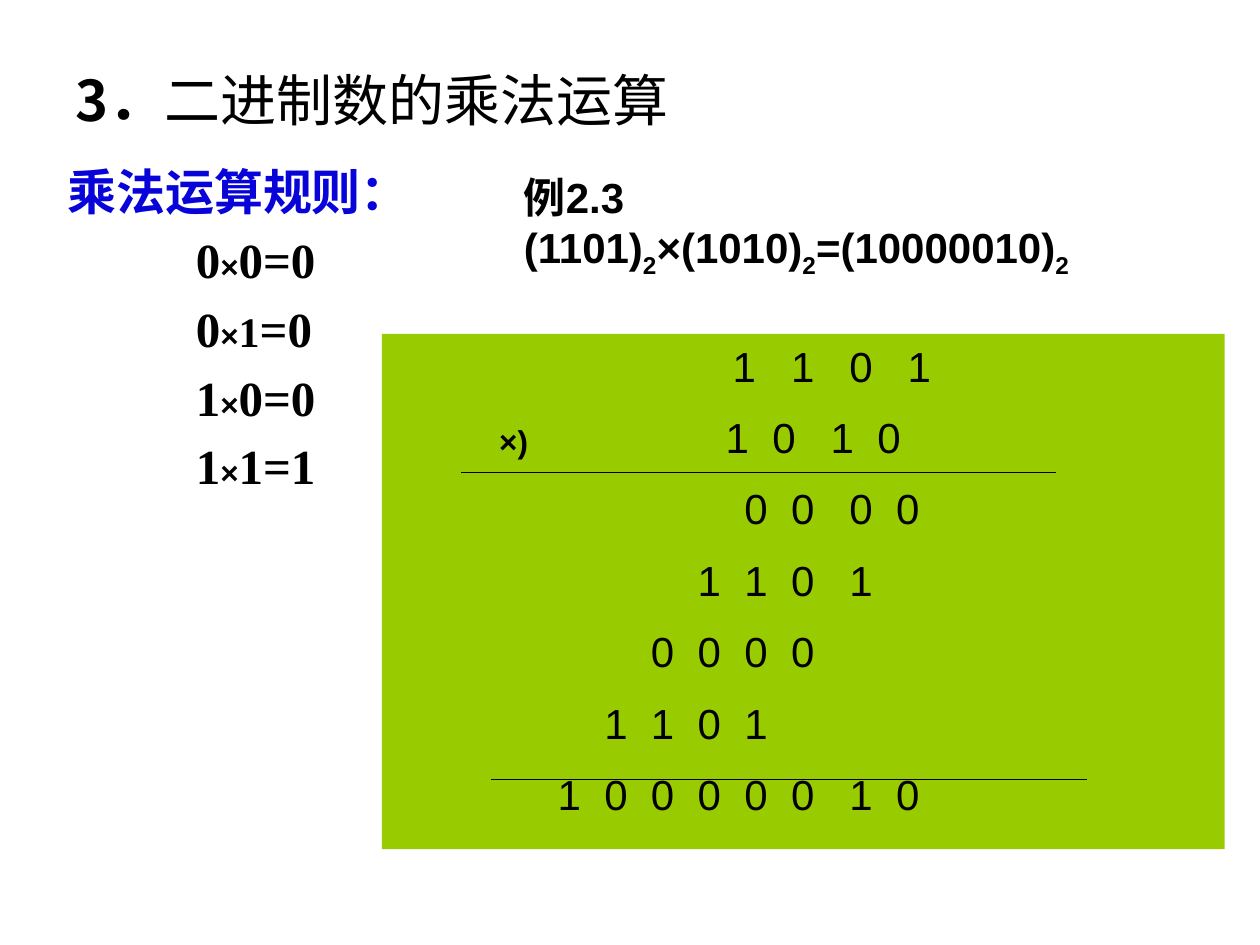
from dataclasses import dataclass
from lxml.etree import SubElement
from pptx import Presentation
from pptx.dml.color import RGBColor
from pptx.enum.shapes import MSO_CONNECTOR, MSO_SHAPE
from pptx.enum.text import MSO_ANCHOR, PP_ALIGN
from pptx.oxml.ns import qn
from pptx.util import Pt


@dataclass(frozen=True)
class Theme:
    ink: str = "000000"
    heading: str = "0803D9"
    panel: str = "99CC00"
    sans: str = "Arial"
    serif: str = "Times New Roman"
    cjk: str = "Noto Sans CJK SC"
    title: int = 32
    title_end: int = 44
    rule: int = 28
    body: int = 24
    sign: int = 18
    line: float = 0.75


class SlideBuilder:
    """Draws styled elements on the current slide."""

    def __init__(self, slide, theme):
        self.s, self.theme = slide, theme

    def paragraph(self, tf, runs, base, first=False, before=0, indent=0, tabs=()):
        p = tf.paragraphs[0] if first else tf.add_paragraph()
        p.alignment = PP_ALIGN.LEFT
        p.space_before = Pt(0 if first else before)
        pPr = p._p.get_or_add_pPr()
        if indent:
            pPr.set("marL", str(Pt(indent)))
            pPr.set("indent", "0")
        if tabs:
            tab_list = SubElement(pPr, qn("a:tabLst"))
            for pos in tabs:
                SubElement(tab_list, qn("a:tab"), pos=str(Pt(pos)), algn="l")
        for text, changes in runs:
            self.run(p, text, {**base, **changes})

    def run(self, p, text, fmt):
        r = p.add_run()
        r.text = text
        fmt = dict(fmt)
        color, sub = fmt.pop("color", self.theme.ink), fmt.pop("sub", False)
        for key, value in fmt.items():
            setattr(r.font, key, value)
        r.font.color.rgb = RGBColor.from_string(color)
        rPr = r._r.get_or_add_rPr()
        SubElement(rPr, qn("a:ea"), typeface=self.theme.cjk)
        if sub:
            rPr.set("baseline", "-25000")

    def textbox(self, x, y, w, h, anchor=MSO_ANCHOR.TOP):
        tf = self.s.shapes.add_textbox(Pt(x), Pt(y), Pt(w), Pt(h)).text_frame
        tf.word_wrap, tf.vertical_anchor = True, anchor
        return tf

    def panel(self, x, y, w, h):
        sp = self.s.shapes.add_shape(MSO_SHAPE.RECTANGLE, Pt(x), Pt(y), Pt(w), Pt(h))
        sp.shadow.inherit = False
        sp.fill.solid()
        sp.fill.fore_color.rgb = RGBColor.from_string(self.theme.panel)
        sp.line.fill.background()
        tf = sp.text_frame
        tf.word_wrap, tf.vertical_anchor = True, MSO_ANCHOR.TOP
        return tf

    def rule(self, x, y, w):
        line = self.s.shapes.add_connector(
            MSO_CONNECTOR.STRAIGHT, Pt(x), Pt(y), Pt(x + w), Pt(y))
        line.line.color.rgb = RGBColor.from_string(self.theme.ink)
        line.line.width = Pt(self.theme.line)
        SubElement(line._element.spPr, qn("a:effectLst"))


def main():
    th = Theme()
    prs = Presentation()
    prs.slide_width, prs.slide_height = Pt(720), Pt(540)
    b = SlideBuilder(prs.slides.add_slide(prs.slide_layouts[6]), th)

    sign = {"size": Pt(th.sign), "name": th.sans, "bold": True}
    serif = {"size": Pt(th.rule), "name": th.serif, "bold": True}
    tf = b.textbox(0, 88.56, 380.16, 175.68)
    b.paragraph(tf, [("乘法运算规则：", {"color": th.heading})], serif,
                first=True, indent=31.4)
    for left, right, size in (("0", "0", th.rule), ("0", "1", th.body),
                              ("1", "0", th.rule), ("1", "1", th.rule)):
        product = str(int(left) * int(right))
        runs = [(left, {}), ("×", sign), (right, {"size": Pt(size)}), ("=" + product, {})]
        b.paragraph(tf, runs, serif, before=5.6, indent=104.8)

    tf = b.textbox(36, 23.9, 648, 55.44, MSO_ANCHOR.MIDDLE)
    title = {"size": Pt(th.title), "name": th.sans, "bold": False}
    b.paragraph(tf, [("3", {"name": th.cjk, "bold": True}), ("．", {"bold": True}),
                     ("二进制数的乘法运算", {}), (" ", {"size": Pt(th.title_end)})],
                title, first=True)

    tf = b.textbox(292.32, 94.32, 362.88, 65.52)
    runs = []
    for part in ("例2.3 (1101)", "×(1010)", "=(10000010)"):
        runs += [(part, {}), ("2", {"sub": True})]
    b.paragraph(tf, runs, {"size": Pt(th.body), "name": th.sans, "bold": True}, first=True)

    tf = b.panel(218.16, 190.8, 481.68, 294.48)
    digit = {"size": Pt(th.body), "name": th.sans, "bold": False}
    unit = 6.67
    columns = (14, 18, 22, 26, 30, 34, 39, 43)
    rows = (("1101", (29, 34, 39, 44)),
            ("1010", (28.4, 32.4, 37.4, 41.4)),
            ("0000", columns[4:]),
            ("1101", columns[3:7]),
            ("0000", columns[2:6]),
            ("1101", columns[1:5]),
            ("10000010", columns))
    for i, (digits, stops) in enumerate(rows):
        runs = [("".join("\t" + d for d in digits), {})]
        if i == 1:
            runs.insert(0, ("\t×)", sign))
            stops = (9, *stops)
        b.paragraph(tf, runs, digit, first=i == 0, before=12,
                    tabs=[round(n * unit, 2) for n in stops])
    for x, y in ((263.52, 270), (280.8, 445.6)):
        b.rule(x, y, 340.2)

    prs.save("out.pptx")


if __name__ == "__main__":
    main()
